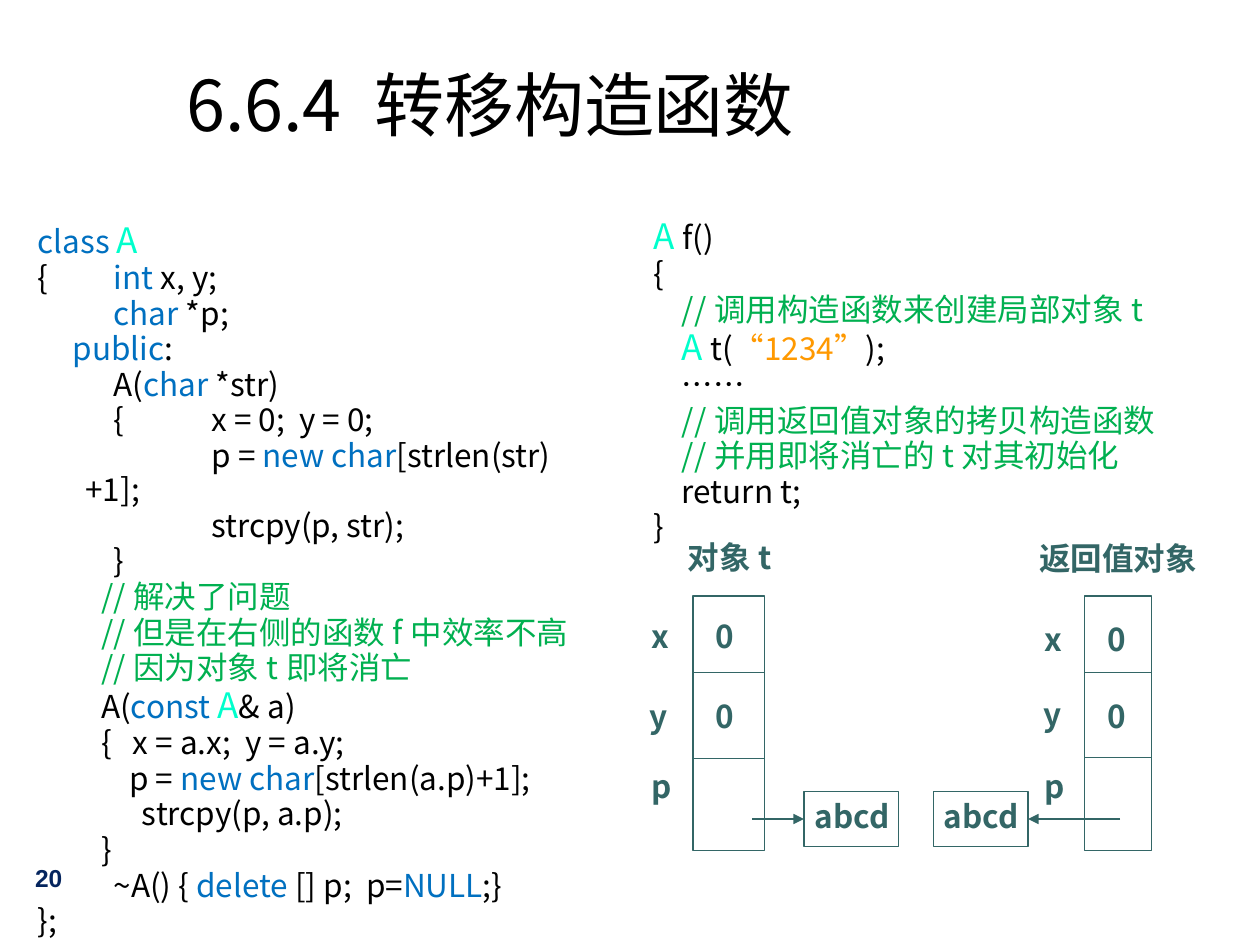
from dataclasses import dataclass
from typing import NamedTuple

import lxml.etree
import pptx
import pptx.dml.color
import pptx.enum.shapes
import pptx.enum.text
import pptx.oxml.ns
import pptx.util

Inches = pptx.util.Inches
Pt = pptx.util.Pt


@dataclass(frozen=True)
class Theme:
    font: str = "Noto Sans CJK SC"
    number_font: str = "Arial"
    plain: str = "000000"
    keyword: str = "0070C0"
    type_name: str = "00FFCC"
    comment: str = "00B050"
    literal: str = "FF9900"
    diagram: str = "336666"
    number: str = "05255E"
    paper: str = "FFFFFF"
    title_size: float = 40
    code_size: float = 18
    type_size: float = 20
    number_size: float = 14
    line_width: float = 0.75
    line_spacing: float = 0.9
    space_before: float = 0.9


THEME = Theme()


class Span(NamedTuple):
    text: str
    color: str = THEME.plain
    size: float = THEME.code_size
    bold: bool = False
    font: str = THEME.font


class Area(NamedTuple):
    left: float
    top: float
    width: float
    height: float


class Label(NamedTuple):
    text: str
    left: float
    top: float
    width: float


class MemoryObject(NamedTuple):
    area: Area
    dividers: tuple[float, ...]
    labels: tuple[Label, ...]
    pointer_start: float
    target: Area
    target_side: int


def plain(text: str) -> Span:
    return Span(text)


def keyword(text: str) -> Span:
    return Span(text, THEME.keyword)


def comment(text: str) -> Span:
    return Span(text, THEME.comment)


TYPE_A = Span("A", THEME.type_name, THEME.type_size)

CLASS_CODE = (
    (keyword("class "), TYPE_A),
    (plain("{\t    "), keyword("int"), plain(" x, y;")),
    (plain("\t    "), keyword("char"), plain(" *p;")),
    (plain("     "), keyword("public"), plain(":")),
    (plain("\t    A("), keyword("char"), plain(" *str)")),
    (plain("\t    {\tx = 0;  y = 0;"),),
    (plain("\t\tp = "), keyword("new char"), plain("[strlen(str)+1];")),
    (plain("\t\tstrcpy(p, str);"),),
    (plain("\t    }"),),
    (comment("         //解决了问题"),),
    (comment("         //但是在右侧的函数f中效率不高"),),
    (comment("         //因为对象t即将消亡"),),
    (plain("         A("), keyword("const "), TYPE_A, plain("& a)")),
    (plain("         {   x = a.x;  y = a.y;"),),
    (plain("             p = "), keyword("new char"), plain("[strlen(a.p)+1];")),
    (plain("\t        strcpy(p, a.p);"),),
    (plain("         }"),),
    (plain("\t    ~A() { "), keyword("delete"), plain(" [] p;  p="),
     keyword("NULL"), plain(";}")),
    (plain("};"),),
)

FUNCTION_CODE = (
    (TYPE_A, plain(" f()")),
    (plain("{"),),
    (comment("    //调用构造函数来创建局部对象t"),),
    (plain("    "), TYPE_A, plain(" t("), Span("“1234”", THEME.literal), plain(");")),
    (plain("    ……"),),
    (comment("    //调用返回值对象的拷贝构造函数"),),
    (comment("    //并用即将消亡的t对其初始化"),),
    (plain("    return t;"),),
    (plain("}"),),
)

MEMORY_OBJECTS = (
    MemoryObject(
        Area(5.5, 4.73, 0.57, 2.02), (5.34, 6.02),
        (Label("对象t", 5.36, 4.22, 0.95), Label("x", 5.07, 4.85, 0.36),
         Label("y", 5.06, 5.48, 0.36), Label("p", 5.07, 6.04, 0.36),
         Label("0", 5.58, 4.85, 0.36), Label("0", 5.58, 5.48, 0.36),
         Label("abcd", 6.37, 6.28, 0.9)),
        5.97, Area(6.38, 6.28, 0.75, 0.44), 1),
    MemoryObject(
        Area(8.61, 4.73, 0.53, 2.02), (5.34, 6.01),
        (Label("返回值对象", 8.15, 4.23, 1.49), Label("x", 8.19, 4.87, 0.36),
         Label("y", 8.18, 5.47, 0.36), Label("p", 8.19, 6.04, 0.36),
         Label("0", 8.69, 4.87, 0.36), Label("0", 8.69, 5.48, 0.36),
         Label("abcd", 7.39, 6.28, 0.97)),
        8.89, Area(7.41, 6.28, 0.75, 0.44), 3),
)


def rgb(color: str) -> pptx.dml.color.RGBColor:
    return pptx.dml.color.RGBColor.from_string(color)


def add_span(para, item: Span) -> None:
    span = para.add_run()
    span.text = item.text
    span.font.name = item.font
    span.font.size = Pt(item.size)
    span.font.bold = item.bold
    span.font.color.rgb = rgb(item.color)
    if item.font == THEME.font:
        east_asian = lxml.etree.SubElement(span.font._element, pptx.oxml.ns.qn("a:ea"))
        east_asian.set("typeface", item.font)


def add_text_box(page, area: Area):
    box = page.shapes.add_textbox(*map(Inches, area))
    box.text_frame.word_wrap = True
    return box


def add_code(page, area: Area, lines: tuple[tuple[Span, ...], ...]):
    box = add_text_box(page, area)
    for index, line in enumerate(lines):
        para = box.text_frame.paragraphs[0] if index == 0 else box.text_frame.add_paragraph()
        para.line_spacing = THEME.line_spacing
        para.space_before = Pt(THEME.space_before if index else 0)
        properties = para._p.get_or_add_pPr()
        properties.set("marL", str(Inches(0.38)))
        properties.set("indent", str(Inches(-0.38)))
        properties.set("defTabSz", str(Inches(1)))
        for item in line:
            add_span(para, item)
    return box


def add_label(page, label: Label) -> None:
    box = add_text_box(page, Area(label.left, label.top, label.width, 0.4))
    box.text_frame.auto_size = pptx.enum.text.MSO_AUTO_SIZE.SHAPE_TO_FIT_TEXT
    add_span(box.text_frame.paragraphs[0], Span(label.text, THEME.diagram, bold=True))


def add_frame(page, area: Area):
    box = page.shapes.add_shape(pptx.enum.shapes.MSO_SHAPE.RECTANGLE, *map(Inches, area))
    box.shadow.inherit = False
    box.fill.background()
    box.line.color.rgb = rgb(THEME.diagram)
    box.line.width = Pt(THEME.line_width)
    return box


def add_level_line(page, start: float, end: float, level: float):
    line = page.shapes.add_connector(
        pptx.enum.shapes.MSO_CONNECTOR.STRAIGHT,
        Inches(start), Inches(level), Inches(end), Inches(level))
    line.line.color.rgb = rgb(THEME.diagram)
    line.line.width = Pt(THEME.line_width)
    lxml.etree.SubElement(line._element.spPr, pptx.oxml.ns.qn("a:effectLst"))
    return line


def add_memory_object(page, item: MemoryObject) -> None:
    area, target = item.area, item.target
    add_frame(page, area)
    for level in item.dividers:
        add_level_line(page, area.left, area.left + area.width, level)
    target_box = add_frame(page, target)
    end = target.left if item.target_side == 1 else target.left + target.width
    pointer = add_level_line(page, item.pointer_start, end, target.top + target.height / 2)
    pointer.end_connect(target_box, item.target_side)
    head = lxml.etree.SubElement(pointer.line._get_or_add_ln(), pptx.oxml.ns.qn("a:tailEnd"))
    head.set("type", "triangle")
    for label in item.labels:
        add_label(page, label)


def add_title(page, area: Area, text: str) -> None:
    title = page.shapes.title
    title.left, title.top, title.width, title.height = map(Inches, area)
    title.text_frame.vertical_anchor = pptx.enum.text.MSO_ANCHOR.MIDDLE
    para = title.text_frame.paragraphs[0]
    para.alignment = pptx.enum.text.PP_ALIGN.LEFT
    add_span(para, Span(text, size=THEME.title_size))


def main() -> None:
    deck = pptx.Presentation()
    deck.slide_width, deck.slide_height = Inches(10), Inches(7.5)
    page = deck.slides.add_slide(deck.slide_layouts[5])
    add_title(page, Area(1.38, -0.01, 7.67, 1.67), "6.6.4 转移构造函数")
    class_box = add_code(page, Area(0.2, 1.72, 4.49, 5.54), CLASS_CODE)
    class_box.fill.solid()
    class_box.fill.fore_color.rgb = rgb(THEME.paper)
    add_code(page, Area(5.09, 1.69, 4.45, 2.95), FUNCTION_CODE)
    for item in MEMORY_OBJECTS:
        add_memory_object(page, item)
    number_box = add_text_box(page, Area(0.18, 6.8, 2.08, 0.5))
    add_span(number_box.text_frame.paragraphs[0],
             Span("20", THEME.number, THEME.number_size, True, THEME.number_font))
    deck.save("out.pptx")


if __name__ == "__main__":
    main()
